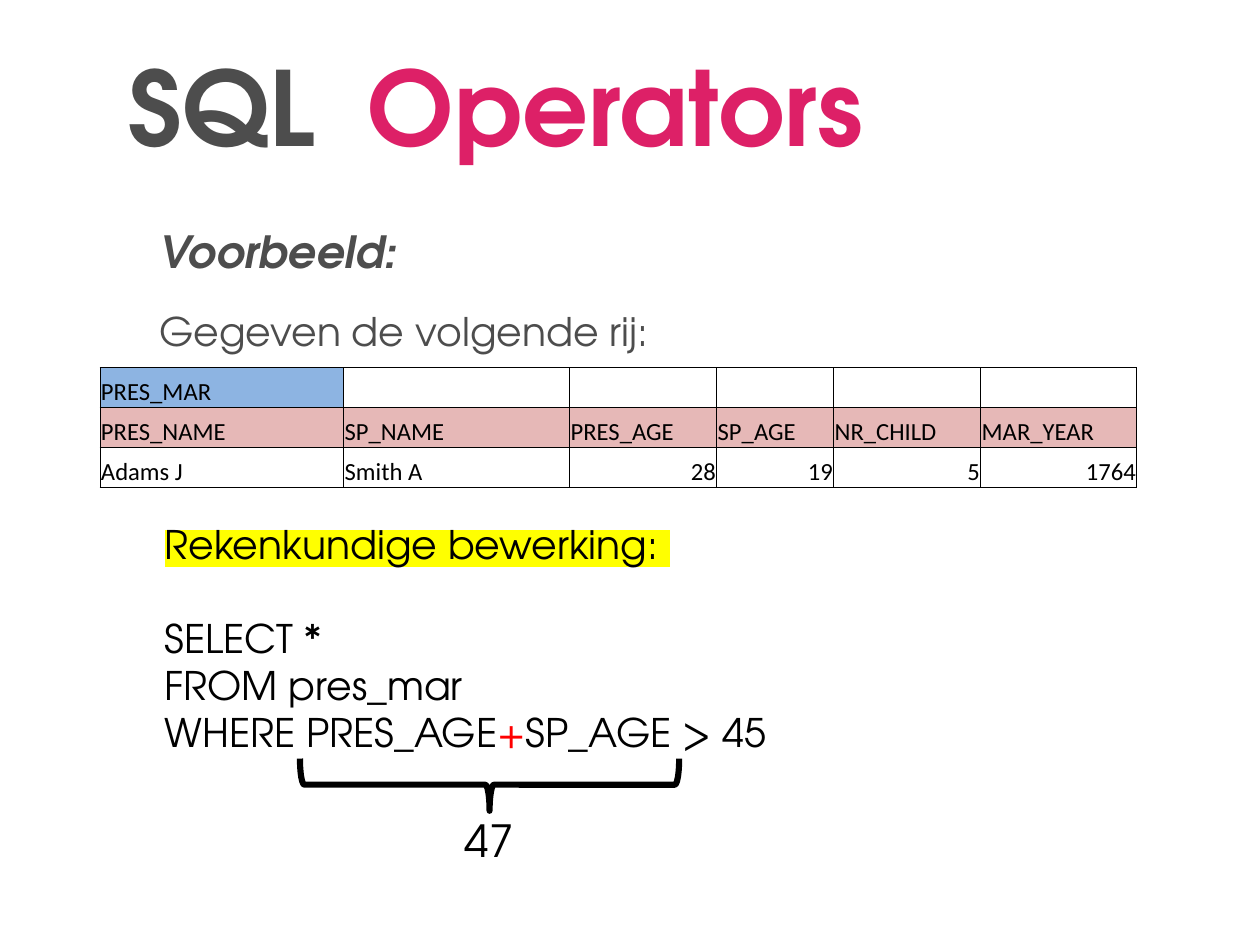
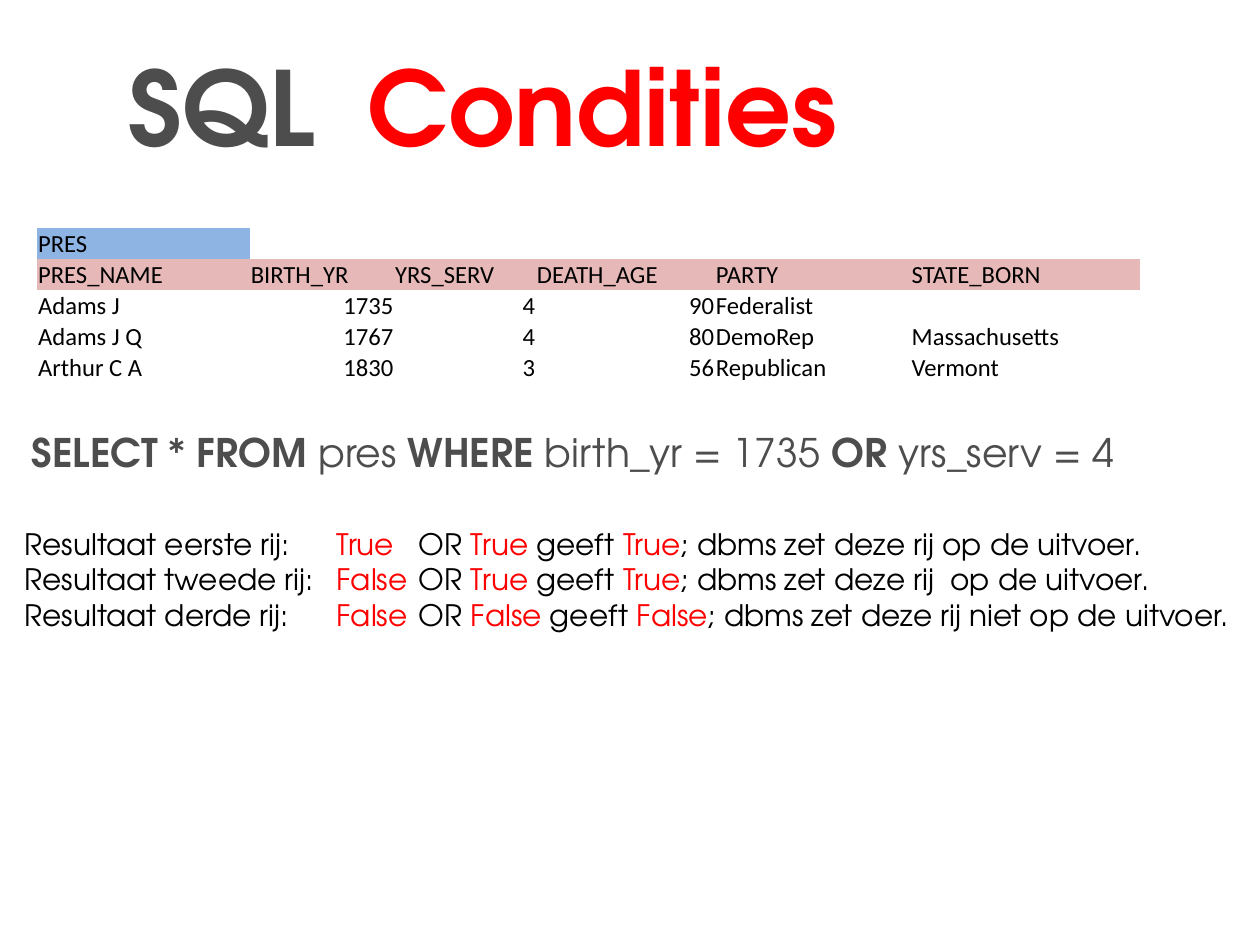
"""Builds two slides on SQL operators and conditions."""
import dataclasses

import lxml.etree
import pptx
import pptx.dml.color
import pptx.enum.shapes
import pptx.enum.text
import pptx.oxml.ns
import pptx.util

Inches, Pt = pptx.util.Inches, pptx.util.Pt
PP_ALIGN = pptx.enum.text.PP_ALIGN
ANCHOR = pptx.enum.text.MSO_ANCHOR


@dataclasses.dataclass(frozen=True)
class Theme:
    """Colours, fonts and type sizes."""
    grey: str = "4D4D4D"
    pink: str = "DD2067"
    red: str = "FF0000"
    black: str = "000000"
    blue: str = "8DB4E2"
    rose: str = "E6B8B7"
    yellow: str = "FFFF00"
    display: str = "TeX Gyre Adventor"
    table: str = "Calibri"
    title_size: int = 84
    heading_size: int = 36
    body_size: int = 32
    result_size: int = 24
    table_size: int = 20
    no_table_style: str = "{2D5ABB26-0587-4C30-8999-92F81FD0307C}"


THEME = Theme()
SLIDE_SIZE = (14.22, 10.67)
BOLD = {"bold": True}
RED = {"color": THEME.red}

MARRIAGE = {
    "name": "PRES_MAR",
    "columns": ["PRES_NAME", "SP_NAME", "PRES_AGE", "SP_AGE", "NR_CHILD", "MAR_YEAR"],
    "rows": [["Adams J", "Smith A", 28, 19, 5, 1764]],
    "widths": [2.75, 2.55, 1.66, 1.32, 1.66, 1.76],
    "row_height": 0.45,
    "border": THEME.black,
}
PRESIDENTS = {
    "name": "PRES",
    "columns": ["PRES_NAME", "BIRTH_YR", "YRS_SERV", "DEATH_AGE", "PARTY", "STATE_BORN"],
    "rows": [
        ["Adams J", 1735, 4, 90, "Federalist", ""],
        ["Adams J Q", 1767, 4, 80, "DemoRep", "Massachusetts"],
        ["Arthur C A", 1830, 3, 56, "Republican", "Vermont"],
    ],
    "widths": [2.4, 1.63, 1.6, 2.02, 2.21, 2.59],
    "row_height": 0.35,
    "border": None,
}
INTRODUCTION = [
    [("Voorbeeld:", {"bold": True, "italic": True, "size": THEME.heading_size})],
    [("Gegeven de volgende rij:", {})],
]
OPERATION = [[("Rekenkundige bewerking: ", {"highlight": THEME.yellow})]]
ARITHMETIC_QUERY = [
    [("SELECT *", {})],
    [("FROM pres_mar", {})],
    [("WHERE PRES_AGE", {}), ("+", RED), ("SP_AGE > 45", {})],
]
CONDITION_QUERY = [[
    ("SELECT", BOLD), (" * ", {}), ("FROM ", BOLD), ("pres ", {}), ("WHERE ", BOLD),
    ("birth_yr = 1735", {}), (" OR ", BOLD), ("yrs_serv = 4", {}),
]]
RESULTS = [
    ("eerste", "True", "True", "True", "rij op"),
    ("tweede", "False", "True", "True", "rij  op"),
    ("derde", "False", "False", "False", "rij niet op"),
]


def rgb(color):
    return pptx.dml.color.RGBColor.from_string(color)


def add_xml(parent, tag, **attributes):
    return lxml.etree.SubElement(parent, pptx.oxml.ns.qn(tag), **attributes)


def style_run(run, size, color, font=THEME.display, bold=False, italic=False, highlight=None):
    run.font.size = Pt(size)
    run.font.bold = bold
    run.font.italic = italic
    run.font.color.rgb = rgb(color)
    if highlight:
        marker = add_xml(run.font._element, "a:highlight")
        add_xml(marker, "a:srgbClr", val=highlight)
    run.font.name = font


def add_text(slide, box, lines, size, color=THEME.black, margins=None, anchor=ANCHOR.TOP,
             align=PP_ALIGN.LEFT, space_before=None, tabs=(), wrap=True):
    shape = slide.shapes.add_textbox(*map(Inches, box))
    frame = shape.text_frame
    frame.word_wrap = wrap
    frame.vertical_anchor = anchor
    if margins is not None:
        frame.margin_left = frame.margin_right = Inches(margins)
        frame.margin_top = frame.margin_bottom = Inches(margins)
    for index, line in enumerate(lines):
        paragraph = frame.add_paragraph() if index else frame.paragraphs[0]
        paragraph.alignment = align
        if space_before and index < len(space_before):
            paragraph.space_before = Pt(space_before[index])
        if tabs:
            stops = add_xml(paragraph._p.get_or_add_pPr(), "a:tabLst")
            for position in tabs:
                add_xml(stops, "a:tab", pos=str(Inches(position)), algn="l")
        for text, changes in line:
            run = paragraph.add_run()
            run.text = text
            style_run(run, **{"size": size, "color": color, **changes})


def add_title(slide, topic, color):
    line = [("SQL\t", BOLD), (topic, {"bold": True, "color": color})]
    add_text(slide, (1.39, 0.28, 11.44, 1.82), [line], THEME.title_size, THEME.grey,
             margins=0.06, anchor=ANCHOR.MIDDLE, tabs=[2.7])


def add_borders(cell, color):
    properties = cell._tc.get_or_add_tcPr()
    for side in ("a:lnL", "a:lnR", "a:lnT", "a:lnB"):
        line = add_xml(properties, side, w=str(Pt(1)))
        add_xml(add_xml(line, "a:solidFill"), "a:srgbClr", val=color)


def fill_cell(cell, value, fill, border):
    cell.margin_left = cell.margin_right = cell.margin_top = Inches(0.01)
    cell.margin_bottom = 0
    cell.vertical_anchor = ANCHOR.BOTTOM
    if border:
        add_borders(cell, border)
    if fill:
        cell.fill.solid()
        cell.fill.fore_color.rgb = rgb(fill)
    else:
        cell.fill.background()
    paragraph = cell.text_frame.paragraphs[0]
    paragraph.text = str(value)
    paragraph.alignment = PP_ALIGN.RIGHT if isinstance(value, int) else PP_ALIGN.LEFT
    for run in paragraph.runs:
        style_run(run, THEME.table_size, THEME.black, THEME.table)


def add_data_table(slide, left, top, data):
    widths, height = data["widths"], data["row_height"]
    name_row = [data["name"]] + [""] * (len(widths) - 1)
    rows = [name_row, data["columns"], *data["rows"]]
    shape = slide.shapes.add_table(len(rows), len(widths), Inches(left), Inches(top),
                                   Inches(sum(widths)), Inches(height * len(rows)))
    table = shape.table
    table.first_row = table.horz_banding = False
    table._tbl.tblPr.find(pptx.oxml.ns.qn("a:tableStyleId")).text = THEME.no_table_style
    for column, width in zip(table.columns, widths):
        column.width = Inches(width)
    fills = {0: [THEME.blue] + [None] * (len(widths) - 1), 1: [THEME.rose] * len(widths)}
    for row_index, values in enumerate(rows):
        table.rows[row_index].height = Inches(height)
        row_fills = fills.get(row_index, [None] * len(widths))
        for column_index, (value, fill) in enumerate(zip(values, row_fills)):
            fill_cell(table.cell(row_index, column_index), value, fill, data["border"])


def add_brace(slide, box):
    brace = slide.shapes.add_shape(pptx.enum.shapes.MSO_SHAPE.RIGHT_BRACE, *map(Inches, box))
    brace.rotation = 90
    brace.shadow.inherit = False
    brace.fill.background()
    brace.line.color.rgb = rgb(THEME.black)
    brace.line.width = Pt(5)


def result_line(ordinal, first, second, outcome, ending):
    return [
        (f"Resultaat {ordinal} rij:\t", {}), (f"{first}\t", RED), ("OR ", {}), (second, RED),
        (" geeft ", {}), (outcome, RED), (f"; dbms zet deze {ending} de uitvoer.", {}),
    ]


def build_operators(slide):
    add_title(slide, "Operators", THEME.pink)
    add_text(slide, (1.74, 2.47, 11.09, 1.84), INTRODUCTION, THEME.body_size, THEME.grey,
             margins=0.06, space_before=[24, 24])
    add_data_table(slide, 1.13, 4.15, MARRIAGE)
    add_text(slide, (1.76, 5.82, 11.18, 3.33), OPERATION + ARITHMETIC_QUERY, THEME.body_size,
             space_before=[0, 38])
    add_text(slide, (5.14, 9.13, 0.76, 0.71), [[("47", {})]], THEME.heading_size,
             align=PP_ALIGN.CENTER, wrap=False)
    add_brace(slide, (5.23, 6.72, 0.59, 4.28))


def build_conditions(slide):
    add_title(slide, "Condities", THEME.red)
    add_text(slide, (0.3, 4.78, 13.88, 0.8), CONDITION_QUERY, THEME.body_size, THEME.grey,
             margins=0.06, space_before=[24])
    add_data_table(slide, 0.42, 2.58, PRESIDENTS)
    add_text(slide, (0.18, 5.89, 14.04, 1.85), [result_line(*result) for result in RESULTS],
             THEME.result_size, tabs=[3.52, 4.45])


def main():
    presentation = pptx.Presentation()
    presentation.slide_width, presentation.slide_height = map(Inches, SLIDE_SIZE)
    for build in (build_operators, build_conditions):
        build(presentation.slides.add_slide(presentation.slide_layouts[6]))
    presentation.save("out.pptx")


if __name__ == "__main__":
    main()
